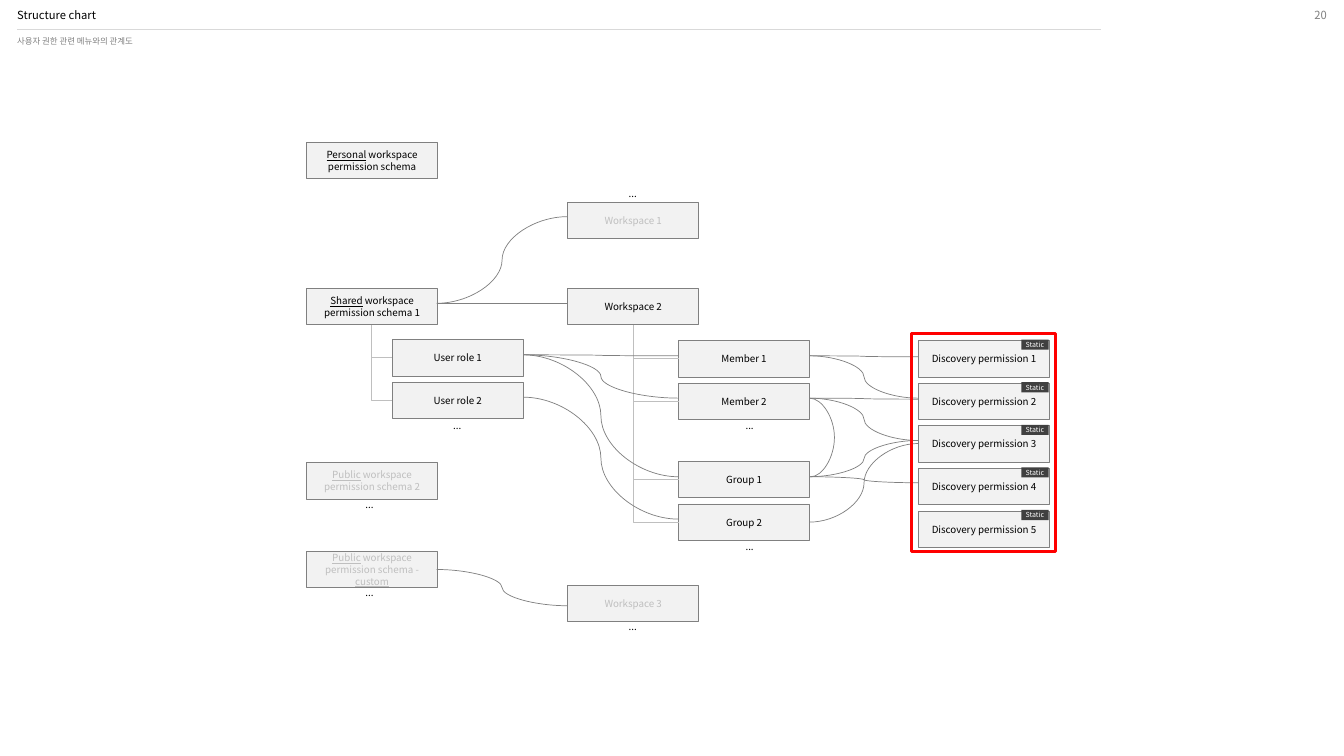
"""Build the structure chart of workspace permissions and related menus."""
from lxml import etree
from pptx import Presentation
from pptx import util as u
from pptx.dml.color import RGBColor
from pptx.enum import shapes, text
from pptx.oxml.ns import qn

COLORS = {"black": "000000", "white": "FFFFFF", "grey": "808080", "faded": "BFBFBF",
          "rule": "D9D9D9", "box": "F2F2F2", "tag": "404040", "red": "FF0000"}
ALIGN, ANCHOR = text.PP_ALIGN, text.MSO_ANCHOR
BOX_W, BOX_H = 1.3, 0.36
SCHEMA_X, ROLE_X, SPACE_X, MEMBER_X, PERM_X = 3.04, 3.89, 5.63, 6.73, 9.11
SCHEMA_END, ROLE_END, MEMBER_END = 4.33, 5.19, 8.03
PERM_TOP, PERM_COUNT = 3.38, 5
PERM_STEP = (5.07 - PERM_TOP) / (PERM_COUNT - 1)

BOXES = [
    (SCHEMA_X, 1.41, "_Personal_ workspace permission schema", "black"),
    (SCHEMA_X, 2.86, "_Shared_ workspace permission schema 1", "black"),
    (SCHEMA_X, 4.59, "_Public_ workspace permission schema 2", "faded"),
    (SCHEMA_X, 5.47, "_Public_ workspace permission schema - _custom_", "faded"),
    (ROLE_X, 3.37, "User role 1", "black"),
    (ROLE_X, 3.79, "User role 2", "black"),
    (SPACE_X, 2.01, "Workspace 1", "faded"),
    (SPACE_X, 2.86, "Workspace 2", "black"),
    (SPACE_X, 5.81, "Workspace 3", "faded"),
    (MEMBER_X, 3.38, "Member 1", "black"),
    (MEMBER_X, 3.8, "Member 2", "black"),
    (MEMBER_X, 4.58, "Group 1", "black"),
    (MEMBER_X, 5, "Group 2", "black"),
]
TREES = [(3.68, ROLE_X, (3.55, 3.97)), (6.28, MEMBER_X, (3.56, 3.98, 4.76, 5.18))]
CURVES = [
    (SCHEMA_END, SPACE_X, [(3.01, 2.15), (5.65, 6.01)]),
    (ROLE_END, MEMBER_X, [(3.52, 3.53), (3.52, 3.95), (3.52, 4.73), (3.94, 5.15)]),
    (MEMBER_END, PERM_X, [(3.53, 3.54), (3.53, 3.95), (3.95, 3.96), (3.95, 4.37),
                          (4.73, 4.37), (4.73, 4.79), (5.18, 4.4)]),
]
ELLIPSES = [(3.53, 4.96), (3.53, 5.83), (4.4, 4.17), (6.14, 1.87), (6.14, 6.17),
            (7.3, 4.17), (7.3, 5.37)]


class Chart:
    font = "Noto Sans CJK KR"

    def __init__(self, s):
        self.s = s

    def rgb(self, color):
        return RGBColor.from_string(COLORS[color])

    def fill_text(self, sp, content, size, color, align=ALIGN.CENTER,
                  anchor=ANCHOR.MIDDLE, inset=0, top=0, spacing=None):
        tf = sp.text_frame
        tf.word_wrap = True
        tf.vertical_anchor = anchor
        tf.margin_left = tf.margin_right = u.Inches(inset)
        tf.margin_top, tf.margin_bottom = u.Inches(top), u.Inches(inset / 2)
        p = tf.paragraphs[0]
        p.alignment = align
        p.line_spacing = spacing
        for i, part in enumerate(content.split("_")):
            if part:
                r = p.add_run()
                r.text = part
                r.font.name, r.font.size = self.font, u.Pt(size)
                r.font.color.rgb = self.rgb(color)
                r.font.underline = i % 2 == 1
                etree.SubElement(r.font._element, qn("a:ea")).set("typeface", self.font)

    def label(self, x, y, w, h, content, size, color, **style):
        sp = self.s.shapes.add_textbox(*map(u.Inches, (x, y, w, h)))
        self.fill_text(sp, content, size, color, **style)

    def rect(self, x, y, w, h, fill=None, line=None, width=0.5):
        sp = self.s.shapes.add_shape(shapes.MSO_SHAPE.RECTANGLE,
                                     *map(u.Inches, (x, y, w, h)))
        sp.shadow.inherit = False
        if fill:
            sp.fill.solid()
            sp.fill.fore_color.rgb = self.rgb(fill)
        else:
            sp.fill.background()
        if line:
            sp.line.color.rgb = self.rgb(line)
            sp.line.width = u.Pt(width)
        else:
            sp.line.fill.background()
        return sp

    def box(self, x, y, content, color="black"):
        sp = self.rect(x, y, BOX_W, BOX_H, "box", "grey")
        self.fill_text(sp, content, 7, color, inset=0.1, top=0.05)

    def tag(self, x, y, content):
        self.fill_text(self.rect(x, y, 0.27, 0.1, "tag"), content, 5, "white")

    def link(self, kind, x1, y1, x2, y2, color="grey", width=0.5):
        sp = self.s.shapes.add_connector(kind, *map(u.Inches, (x1, y1, x2, y2)))
        sp.line.color.rgb = self.rgb(color)
        sp.line.width = u.Pt(width)
        etree.SubElement(sp._element.spPr, qn("a:effectLst"))
        return sp._element.spPr.find(qn("a:prstGeom"))

    def line(self, *ends, **style):
        self.link(shapes.MSO_CONNECTOR.STRAIGHT, *ends, **style)

    def branch(self, *ends):
        geom = self.link(shapes.MSO_CONNECTOR.ELBOW, *ends, color="faded")
        geom.set("prst", "bentConnector2")

    def curve(self, *ends, bulge=None):
        geom = self.link(shapes.MSO_CONNECTOR.CURVE, *ends)
        if bulge:
            guides = geom.find(qn("a:avLst"))
            if guides is None:
                guides = etree.SubElement(geom, qn("a:avLst"))
            gd = etree.SubElement(guides, qn("a:gd"))
            gd.set("name", "adj1")
            gd.set("fmla", f"val {bulge * 100000}")


def main():
    prs = Presentation()
    prs.slide_width, prs.slide_height = u.Inches(13.33), u.Inches(7.5)
    c = Chart(prs.slides.add_slide(prs.slide_layouts[6]))

    c.line(0.17, 0.29, 10.92, 0.29, color="rule", width=0.25)
    c.label(0.17, 0.29, 10.75, 0.28, "사용자 권한 관련 메뉴와의 관계도", 6, "grey",
            align=ALIGN.LEFT, anchor=ANCHOR.TOP, top=0.08, spacing=0.9)
    c.label(0.17, 0.03, 10.75, 0.25, "Structure chart", 8, "black",
            align=ALIGN.LEFT, spacing=0.9)
    c.label(12.68, 0, 0.48, 0.29, "20", 8, "grey", align=ALIGN.RIGHT)

    for x, y, content, color in BOXES:
        c.box(x, y, content, color)
    for i in range(PERM_COUNT):
        y = PERM_TOP + i * PERM_STEP
        c.box(PERM_X, y, f"Discovery permission {i + 1}")
        c.tag(10.13, y - 0.01, "Static")

    for trunk, x, rows in TREES:
        for y in rows:
            c.branch(x, y, trunk, 3.22)
    c.line(SCHEMA_END, 3.01, SPACE_X, 3.01)
    for x1, x2, pairs in CURVES:
        for y1, y2 in pairs:
            c.curve(x1, y1, x2, y2)
    c.curve(MEMBER_END, 3.95, MEMBER_END + 0.01, 4.73, bulge=25)

    for x, y in ELLIPSES:
        c.label(x, y, 0.27, 0.1, "...", 7, "black")
    c.rect(9.04, 3.31, 1.43, 2.16, line="red", width=2.25)
    prs.save("out.pptx")


if __name__ == "__main__":
    main()
